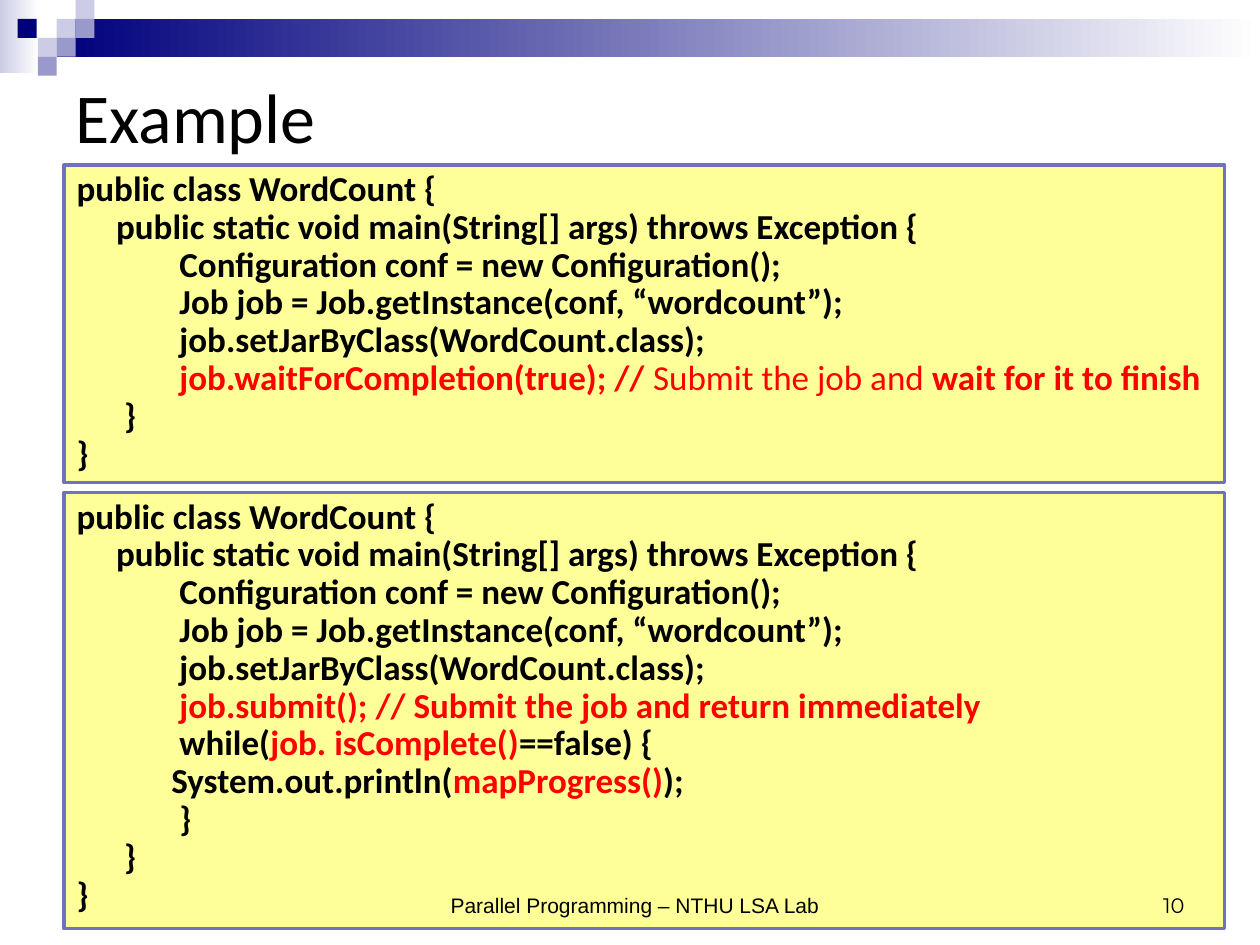
import pptx
import pptx.util
import pptx.dml.color
import pptx.enum.shapes
import pptx.enum.text

Inches = pptx.util.Inches
ALIGN = pptx.enum.text.PP_ALIGN
ANCHOR = pptx.enum.text.MSO_ANCHOR

COLORS = {
    "navy": "00007D", "lavender": "9999CC", "pale": "CCCCE6", "white": "FFFFFF",
    "code_fill": "FFFF99", "code_line": "7171BD", "text": "000000", "highlight": "FF0000",
}

GRADIENT_BARS = [
    ((0, 0, 0.31, 0.58), "pale"),
    ((0.45, 0.15, 9.55, 0.3), "navy"),
]
SQUARE = 0.15
SQUARES = [
    (0.45, 0.15, "pale"), (0.6, 0, "pale"), (0.6, 0.15, "lavender"),
    (0.3, 0.3, "pale"), (0.14, 0.15, "navy"),
    (0.45, 0.3, "lavender"), (0.3, 0.45, "lavender"),
]

PLAIN, RED, RED_LIGHT = ("text", True), ("highlight", True), ("highlight", False)
OPENING = [
    [("public class WordCount {", PLAIN)],
    [("     public static void main(String[] args) throws Exception {", PLAIN)],
    [("             Configuration conf = new Configuration();", PLAIN)],
    [("             Job job = Job.getInstance(conf, “wordcount”);", PLAIN)],
    [("             job.setJarByClass(WordCount.class);", PLAIN)],
]
CLOSING = [[("      }", PLAIN)], [("}", PLAIN)]]
BLOCKING = [
    [("             job.waitForCompletion(true); // ", RED),
     ("Submit the job and ", RED_LIGHT), ("wait for it to finish", RED)],
]
POLLING = [
    [("             job.submit(); // Submit the job and return immediately", RED)],
    [("             while(", PLAIN), ("job. isComplete()", RED), ("==false) {", PLAIN)],
    [("\t    System.out.println(", PLAIN), ("mapProgress()", RED), (");", PLAIN)],
    [("             }", PLAIN)],
]
CODE_BOXES = [
    ((0.51, 3.91, 9.21, 3.46), OPENING + POLLING + CLOSING),
    ((0.51, 1.31, 9.21, 2.52), OPENING + BLOCKING + CLOSING),
]

LABELS = [
    ("Example", (0.5, 0.5, 9, 0.83), "Calibri", 40, ALIGN.LEFT, ANCHOR.MIDDLE),
    ("Parallel Programming – NTHU LSA Lab", (3.08, 6.83, 3.92, 0.5),
     "Arial", 12, ALIGN.CENTER, ANCHOR.BOTTOM),
    ("10", (7.17, 6.83, 2.33, 0.5), "Montserrat", 12, ALIGN.RIGHT, ANCHOR.BOTTOM),
]


def color(name):
    return pptx.dml.color.RGBColor.from_string(COLORS[name])


def add_rectangle(slide, box):
    shape = slide.shapes.add_shape(
        pptx.enum.shapes.MSO_SHAPE.RECTANGLE, *map(Inches, box))
    shape.shadow.inherit = False
    shape.line.fill.background()
    return shape


def fill_solid(shape, name):
    shape.fill.solid()
    shape.fill.fore_color.rgb = color(name)


def add_gradient_bar(slide, box, start):
    fill = add_rectangle(slide, box).fill
    fill.gradient()
    fill.gradient_angle = 0
    for stop, position, name in zip(fill.gradient_stops, (0, 1), (start, "white")):
        stop.position = position
        stop.color.rgb = color(name)


def add_code(slide, box, lines):
    shape = add_rectangle(slide, box)
    fill_solid(shape, "code_fill")
    shape.line.color.rgb = color("code_line")
    shape.line.width = pptx.util.Pt(2)
    frame = shape.text_frame
    frame.word_wrap = True
    frame.vertical_anchor = ANCHOR.TOP
    for index, line in enumerate(lines):
        paragraph = frame.add_paragraph() if index else frame.paragraphs[0]
        paragraph.alignment = ALIGN.LEFT
        paragraph.line_spacing = 0.9
        paragraph.font.name = "Calibri"
        paragraph.font.size = pptx.util.Pt(20)
        for text, (color_name, bold) in line:
            run = paragraph.add_run()
            run.text = text
            run.font.bold = bold
            run.font.color.rgb = color(color_name)


def add_label(slide, text, box, font, size, alignment, anchor):
    frame = slide.shapes.add_textbox(*map(Inches, box)).text_frame
    frame.word_wrap = True
    frame.vertical_anchor = anchor
    paragraph = frame.paragraphs[0]
    paragraph.text = text
    paragraph.alignment = alignment
    paragraph.font.name = font
    paragraph.font.size = pptx.util.Pt(size)
    paragraph.font.color.rgb = color("text")


def main():
    presentation = pptx.Presentation()
    presentation.slide_width, presentation.slide_height = Inches(10), Inches(7.5)
    slide = presentation.slides.add_slide(presentation.slide_layouts[6])
    for box, start in GRADIENT_BARS:
        add_gradient_bar(slide, box, start)
    for left, top, name in SQUARES:
        fill_solid(add_rectangle(slide, (left, top, SQUARE, SQUARE)), name)
    for box, lines in CODE_BOXES:
        add_code(slide, box, lines)
    for label in LABELS:
        add_label(slide, *label)
    presentation.save("out.pptx")


if __name__ == "__main__":
    main()
